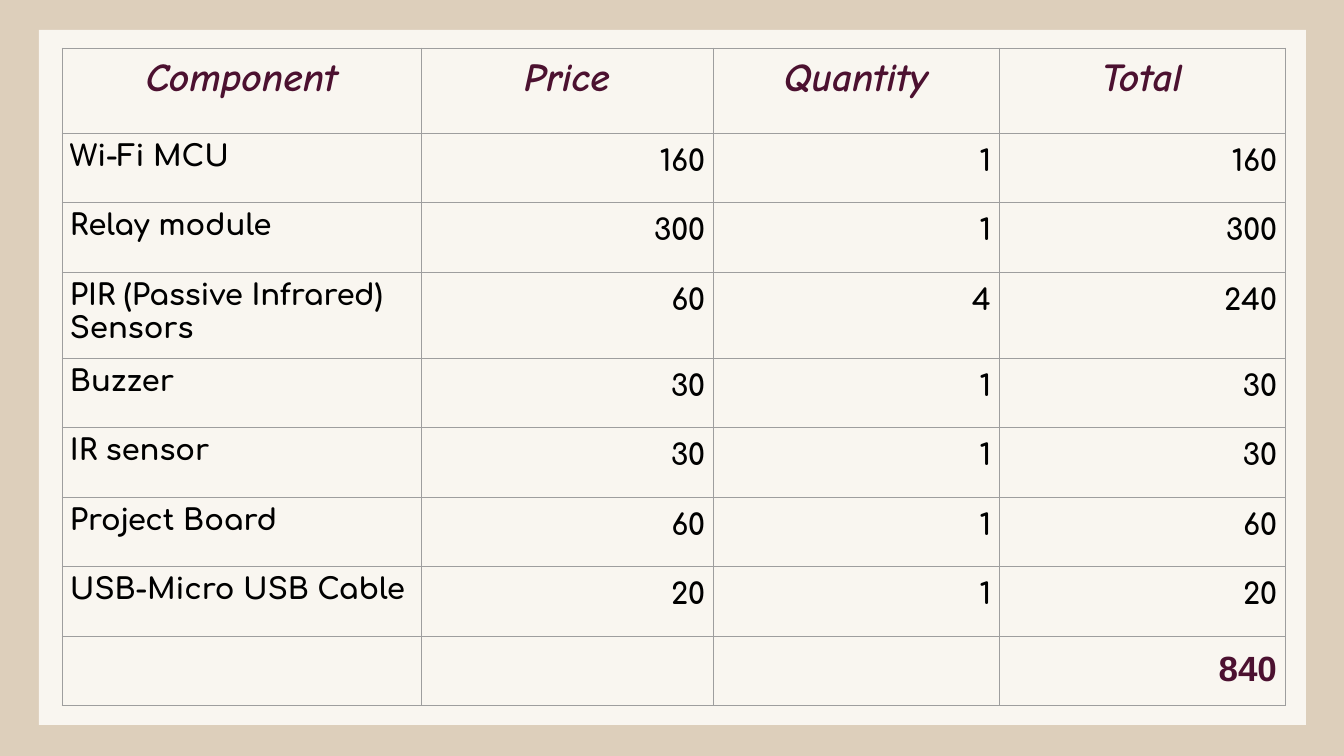
import dataclasses

import lxml.etree
import pptx
import pptx.dml.color
import pptx.enum.shapes
import pptx.enum.text
import pptx.oxml.ns
import pptx.util

ALIGN = pptx.enum.text.PP_ALIGN
EMU_PER_PX = 914400 // 84
PAGE = (0, 0, 1344, 756)
PANEL_MARGINS = (39, 30, 38, 31)
TABLE_OFFSET = (23, 18)
COLUMN_EDGES = (0, 359, 651, 937, 1223)
ROW_EDGES = (0, 85, 154, 224, 310, 379, 449, 518, 588, 658)
CELL_INSET = 8

HEADINGS = ("Component", "Price", "Quantity", "Total")
COMPONENTS = (
    ("Wi-Fi MCU", 160, 1),
    ("Relay module", 300, 1),
    ("PIR (Passive Infrared) Sensors", 60, 4),
    ("Buzzer", 30, 1),
    ("IR sensor", 30, 1),
    ("Project Board", 60, 1),
    ("USB-Micro USB Cable", 20, 1),
)


@dataclasses.dataclass(frozen=True)
class TextStyle:
    font: str
    size: int
    color: str
    italic: bool = False


@dataclasses.dataclass(frozen=True)
class Theme:
    frame: str = "DDCFBB"
    panel: str = "F9F6F0"
    border: str = "9E9E9E"
    border_width: float = 0.75
    heading: TextStyle = TextStyle("Comic Neue", 34, "4C1130", True)
    body: TextStyle = TextStyle("Comfortaa", 25, "000000")
    total: TextStyle = TextStyle("Arial", 30, "4C1130")


THEME = Theme()


def px(length):
    return pptx.util.Emu(length * EMU_PER_PX)


def rgb(color):
    return pptx.dml.color.RGBColor.from_string(color)


def sizes(edges):
    return [end - start for start, end in zip(edges, edges[1:])]


def add_rectangle(page, box, color):
    shape = page.shapes.add_shape(
        pptx.enum.shapes.MSO_SHAPE.RECTANGLE, *map(px, box)
    )
    shape.shadow.inherit = False
    shape.fill.solid()
    shape.fill.fore_color.rgb = rgb(color)
    shape.line.fill.background()


def add_background(page, box):
    left, top, width, height = box
    margin_left, margin_top, margin_right, margin_bottom = PANEL_MARGINS
    panel = (
        left + margin_left,
        top + margin_top,
        width - margin_left - margin_right,
        height - margin_top - margin_bottom,
    )
    add_rectangle(page, box, THEME.frame)
    add_rectangle(page, panel, THEME.panel)
    return panel


def format_cell(cell):
    cell.margin_left = cell.margin_right = px(CELL_INSET)
    cell.margin_top = cell.margin_bottom = px(CELL_INSET)
    qn = pptx.oxml.ns.qn
    properties = cell._tc.get_or_add_tcPr()
    for side in ("a:lnL", "a:lnR", "a:lnT", "a:lnB"):
        line = lxml.etree.SubElement(properties, qn(side))
        line.set("w", str(pptx.util.Pt(THEME.border_width)))
        fill = lxml.etree.SubElement(line, qn("a:solidFill"))
        lxml.etree.SubElement(fill, qn("a:srgbClr")).set("val", THEME.border)
    cell.fill.background()


def write_cell(cell, text, style, alignment):
    para = cell.text_frame.paragraphs[0]
    para.text = str(text)
    para.alignment = alignment
    if alignment == ALIGN.RIGHT:
        para.line_spacing = 1.15
    font = para.runs[0].font
    font.name = style.font
    font.size = pptx.util.Pt(style.size)
    font.bold = True
    font.italic = style.italic
    font.color.rgb = rgb(style.color)


def add_cost_table(page, panel):
    left, top = (panel[i] + TABLE_OFFSET[i] for i in range(2))
    box = (left, top, COLUMN_EDGES[-1], ROW_EDGES[-1])
    table = page.shapes.add_table(
        len(COMPONENTS) + 2, len(HEADINGS), *map(px, box)
    ).table
    table.first_row = table.horz_banding = False
    for column, width in zip(table.columns, sizes(COLUMN_EDGES)):
        column.width = px(width)
    for row, height in zip(table.rows, sizes(ROW_EDGES)):
        row.height = px(height)
    for cell in table.iter_cells():
        format_cell(cell)
    for index, heading in enumerate(HEADINGS):
        write_cell(table.cell(0, index), heading, THEME.heading, ALIGN.CENTER)
    for row, (name, price, quantity) in enumerate(COMPONENTS, 1):
        write_cell(table.cell(row, 0), name, THEME.body, ALIGN.LEFT)
        for column, number in enumerate((price, quantity, price * quantity), 1):
            write_cell(table.cell(row, column), number, THEME.body, ALIGN.RIGHT)
    grand_total = sum(price * quantity for _, price, quantity in COMPONENTS)
    total_cell = table.cell(len(COMPONENTS) + 1, len(HEADINGS) - 1)
    write_cell(total_cell, grand_total, THEME.total, ALIGN.RIGHT)


def main():
    deck = pptx.Presentation()
    deck.slide_width, deck.slide_height = map(px, PAGE[2:])
    page = deck.slides.add_slide(deck.slide_layouts[6])
    panel = add_background(page, PAGE)
    add_cost_table(page, panel)
    deck.save("out.pptx")


if __name__ == "__main__":
    main()
